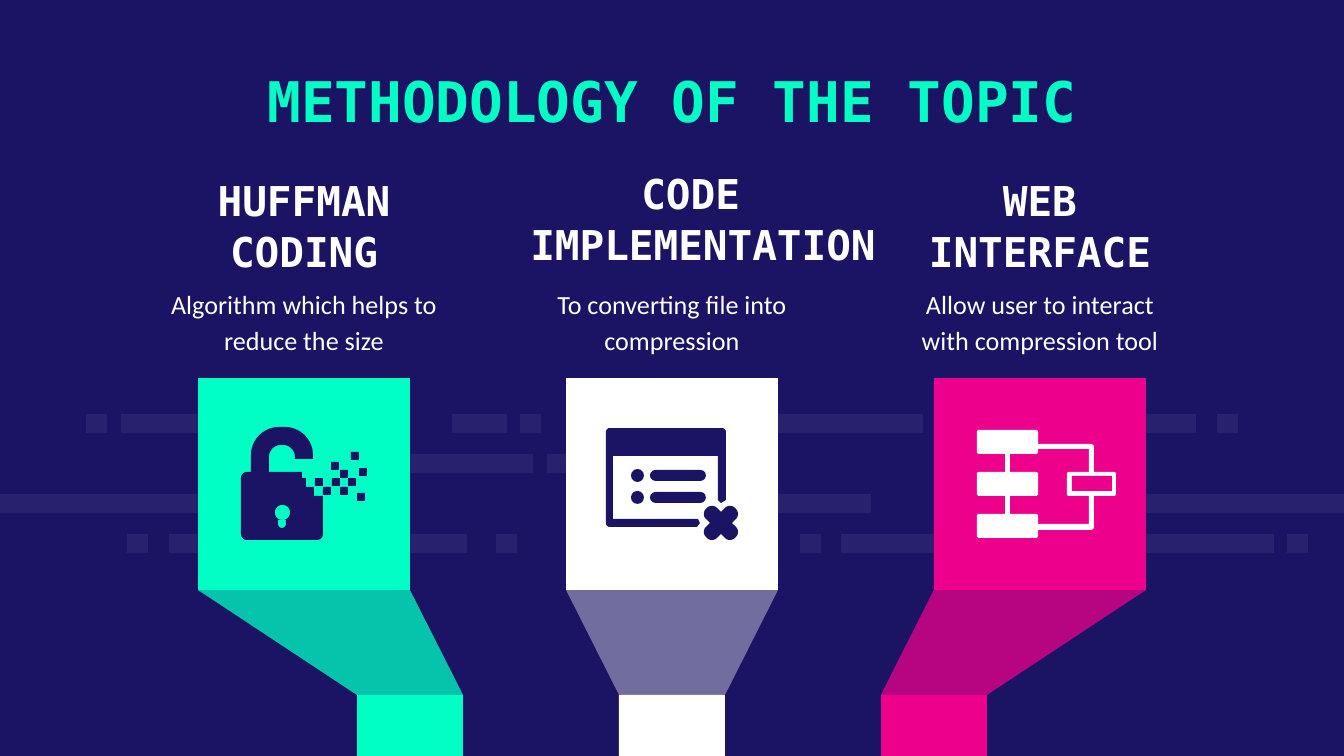
"""Build the methodology slide: three funnel columns with headings and icons."""
from math import dist

from lxml import etree
from pptx import Presentation
from pptx import util as u
from pptx.dml.color import RGBColor
from pptx.enum import shapes, text
from pptx.oxml.ns import qn

NAVY = RGBColor(0x1B, 0x14, 0x64)
MINT = RGBColor(0x00, 0xFF, 0xC5)
PINK = RGBColor(0xEC, 0x00, 0x8C)
WHITE = RGBColor(0xFF, 0xFF, 0xFF)
PX = 914400 / 134.4
MONO, SANS = "DejaVu Sans Mono", "Calibri"

BAND_HEIGHT = 19
BANDS = {
    414: [(86, 21), (121, 196), (452, 55), (520, 21), (754, 169), (1027, 169), (1217, 21)],
    454: [(402, 131), (547, 54)],
    494: [(0, 199), (672, 199), (1145, 199)],
    534: [(127, 21), (169, 298), (496, 21), (800, 21), (841, 433), (1287, 21)],
}

TITLE = ("METHODOLOGY OF THE TOPIC", (188, 54, 968, 98))
COLUMNS = [
    {"head": "HUFFMAN CODING", "place": (152, 213, 304, 63),
     "body": "Algorithm which helps to reduce the size",
     "color": MINT, "funnel": [(MINT, 100), (NAVY, 25)]},
    {"head": "CODE \vIMPLEMENTATION", "place": (508, 206, 390, 63),
     "body": "To converting file into compression",
     "color": WHITE, "funnel": [(WHITE, 38)]},
    {"head": "WEB INTERFACE", "place": (888, 213, 304, 63),
     "body": "Allow user to interact with compression tool",
     "color": PINK, "funnel": [(PINK, 100), (NAVY, 25)]},
]
TILE_LEFT, TILE_TOP, TILE, TILE_STEP = 198, 378, 212, 368
STEM_LEFT, STEM_TOP, STEM, STEM_STEP = 357, 695, 106, 262
BODY_LEFT, BODY_TOP, BODY_WIDTH, BODY_HEIGHT = 152, 284, 304, 63
SLIDE_WIDTH, SLIDE_HEIGHT = 1344, 756

# Outline points are (x, y) or (x, y, corner radius).
PADLOCK = [(241, 472, 6), (251, 472), (251, 427, 28), (313, 427, 28), (313, 459),
           (295, 459), (295, 445, 12), (269, 445, 12), (269, 472), (302, 472),
           (302, 478), (306, 478), (306, 487), (314, 487), (314, 496), (323, 496),
           (323, 540, 6), (241, 540, 6)]
KEYHOLE = [(275, 505, 7), (290, 505, 7), (290, 520, 7), (286, 520), (286, 528, 4),
           (278, 528, 4), (278, 520), (275, 520, 7)]
PIXEL = 8
PIXELS = [(323, 487), (340, 470), (332, 478), (331, 462), (315, 478), (340, 487),
          (357, 493), (348, 478), (359, 468), (351, 452)]
WINDOW = [(606, 428, 4), (726, 428, 4), (726, 500), (721, 503), (718, 500), (718, 456),
          (613, 456), (613, 519), (698, 519), (700, 523), (697, 527), (606, 527, 4)]
CROSS = [(721, 512), (730, 503, 7), (741, 514, 7), (732, 523), (741, 532, 7),
         (730, 543, 7), (721, 534), (712, 543, 7), (701, 532, 7), (710, 523),
         (701, 514, 7), (712, 503, 7)]
LIST_ROWS = [469, 491]
WIRE = [(1038, 444), (1094, 444, 3), (1094, 530, 3), (1038, 530), (1038, 524),
        (1089, 524), (1089, 449), (1038, 449)]
NODE_ROWS = [430, 472, 514]

deck = Presentation()
deck.slide_width, deck.slide_height = u.Emu(round(SLIDE_WIDTH * PX)), u.Emu(round(SLIDE_HEIGHT * PX))
page = deck.slides.add_slide(deck.slide_layouts[6])
page.background.fill.solid()
page.background.fill.fore_color.rgb = NAVY


def emu(*lengths):
    return [u.Emu(round(length * PX)) for length in lengths]


def paint(shape, color, opacity=100):
    shape.shadow.inherit = False
    shape.line.fill.background()
    shape.fill.solid()
    shape.fill.fore_color.rgb = color
    if opacity < 100:
        tint = shape.fill._xPr.find(".//" + qn("a:srgbClr"))
        etree.SubElement(tint, qn("a:alpha")).set("val", str(opacity * 1000))
    return shape


def block(x, y, width, height, color, opacity=100, radius=0):
    kind = shapes.MSO_SHAPE.ROUNDED_RECTANGLE if radius else shapes.MSO_SHAPE.RECTANGLE
    shape = page.shapes.add_shape(kind, *emu(x, y, width, height))
    if radius:
        shape.adjustments[0] = radius / min(width, height)
    return paint(shape, color, opacity)


def toward(start, end, share):
    return tuple(a + (b - a) * share for a, b in zip(start, end))


def rounded(points, steps=10):
    """Return the outline with every radius turned into a short cubic curve."""
    result = []
    for i, (x, y, *radius) in enumerate(points):
        corner = (x, y)
        if not radius:
            result.append(corner)
            continue
        sides = [points[i - 1][:2], points[(i + 1) % len(points)][:2]]
        first, last = [toward(corner, side, radius[0] / dist(corner, side)) for side in sides]
        pull_in, pull_out = toward(first, corner, 0.55), toward(last, corner, 0.55)
        for t in (step / steps for step in range(steps + 1)):
            weights = ((1 - t) ** 3, 3 * t * (1 - t) ** 2, 3 * t * t * (1 - t), t ** 3)
            result.append(tuple(sum(w * p[axis] for w, p in zip(weights, (first, pull_in, pull_out, last)))
                                for axis in (0, 1)))
    return result


def outline(color, *contours, opacity=100):
    paths = [[emu(*point) for point in rounded(contour)] for contour in contours]
    builder = page.shapes.build_freeform(*paths[0][0])
    builder.add_line_segments(paths[0][1:])
    for start, *rest in paths[1:]:
        builder.move_to(*start)
        builder.add_line_segments(rest)
    return paint(builder.convert_to_shape(), color, opacity)


def write(words, place, font, margins, anchor, spacing):
    box = page.shapes.add_textbox(*emu(*place))
    frame = box.text_frame
    settings = {"word_wrap": True, "vertical_anchor": anchor, "auto_size": text.MSO_AUTO_SIZE.NONE}
    sides = dict(zip(("margin_left", "margin_top", "margin_right", "margin_bottom"), emu(*margins)))
    for name, value in (settings | sides).items():
        setattr(frame, name, value)
    para = frame.paragraphs[0]
    para.text = words
    para.alignment, para.line_spacing = text.PP_ALIGN.CENTER, spacing
    for span in para.runs:
        span.font.color.rgb = font["color"]
        for name in ("name", "size", "bold"):
            setattr(span.font, name, font[name])


for top, bands in BANDS.items():
    for left, width in bands:
        block(left, top, width, BAND_HEIGHT, WHITE, 6)

TOP, BOTTOM = text.MSO_ANCHOR.TOP, text.MSO_ANCHOR.BOTTOM
title_font = {"name": MONO, "size": u.Pt(30), "bold": True, "color": MINT}
head_font = {"name": MONO, "size": u.Pt(22), "bold": True, "color": WHITE}
body_font = {"name": SANS, "size": u.Pt(14), "bold": False, "color": WHITE}
write(*TITLE, title_font, (13, 13, 13, 13), TOP, 1.0)

for i, column in enumerate(COLUMNS):
    tile, stem = TILE_LEFT + i * TILE_STEP, STEM_LEFT + i * STEM_STEP
    tile_bottom = TILE_TOP + TILE
    write(column["head"], column["place"], head_font, (13, 13, 13, 0), BOTTOM, 1.05)
    write(column["body"], (BODY_LEFT + i * TILE_STEP, BODY_TOP, BODY_WIDTH, BODY_HEIGHT),
          body_font, (13, 0, 13, 13), TOP, 1.15)
    funnel = [(stem, STEM_TOP), (tile, tile_bottom), (tile + TILE, tile_bottom), (stem + STEM, STEM_TOP)]
    for color, opacity in column["funnel"]:
        outline(color, funnel, opacity=opacity)
    block(stem, STEM_TOP, STEM, SLIDE_HEIGHT - STEM_TOP, column["color"])
    block(tile, TILE_TOP, TILE, TILE, column["color"])

outline(NAVY, PADLOCK, KEYHOLE)
for x, y in PIXELS:
    block(x, y, PIXEL, PIXEL, NAVY)

outline(NAVY, WINDOW)
outline(NAVY, CROSS)
for y in LIST_ROWS:
    block(631, y, 13, 13, NAVY, radius=6.5)
    block(650, y + 1, 56, 11, NAVY, radius=5.5)

outline(WHITE, WIRE)
nodes = [block(977, y, 61, 24, WHITE, radius=2) for y in NODE_ROWS]
for upper, lower in zip(nodes, nodes[1:]):
    link = page.shapes.add_connector(shapes.MSO_CONNECTOR.STRAIGHT, 0, 0, 0, 0)
    link.begin_connect(upper, 2)
    link.end_connect(lower, 0)
    link.line.color.rgb, link.line.width = WHITE, emu(5)[0]
    etree.SubElement(link._element.spPr, qn("a:effectLst"))
block(1067, 472, 49, 24, WHITE, radius=2)
block(1072, 476, 40, 15, PINK)

deck.save("out.pptx")
